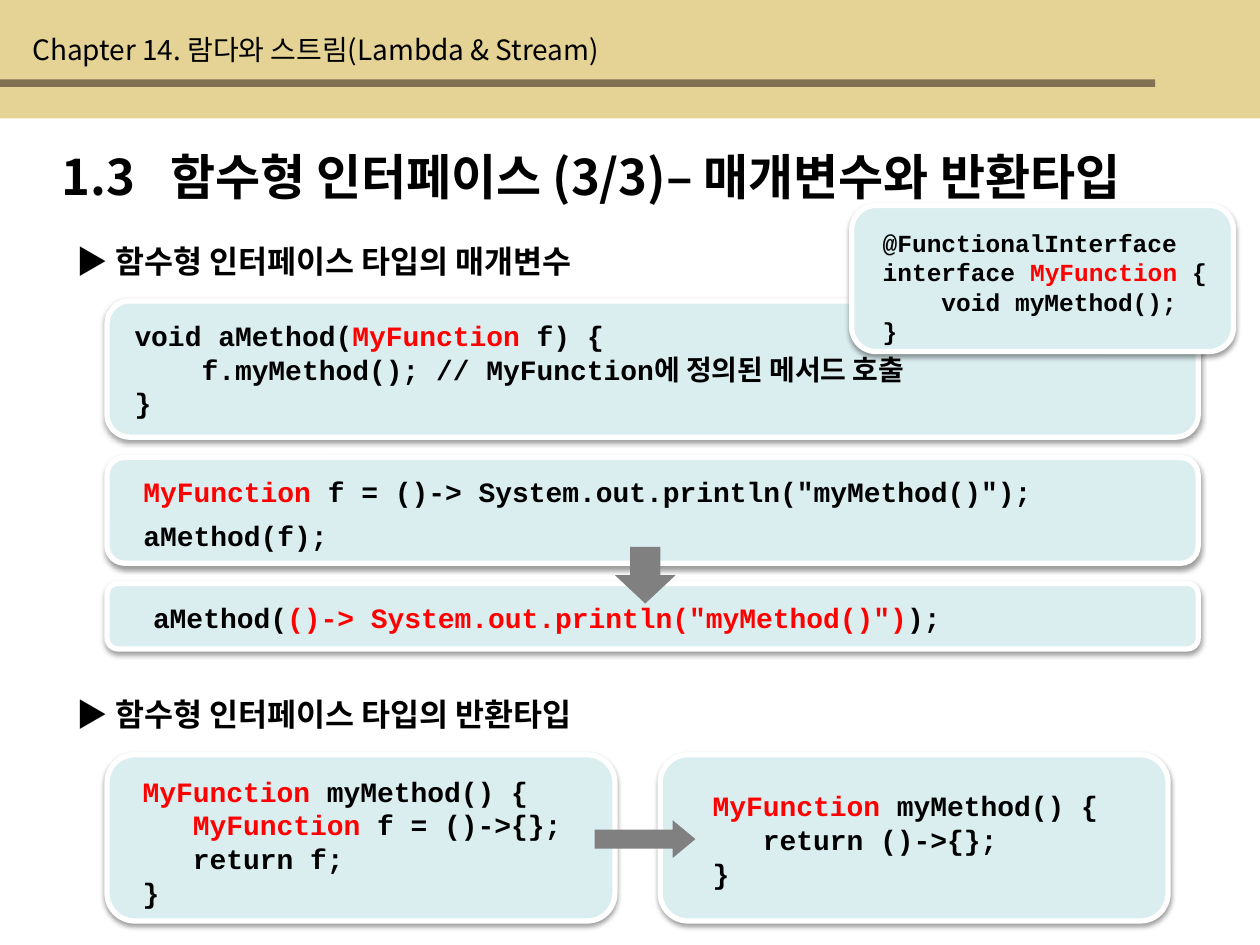
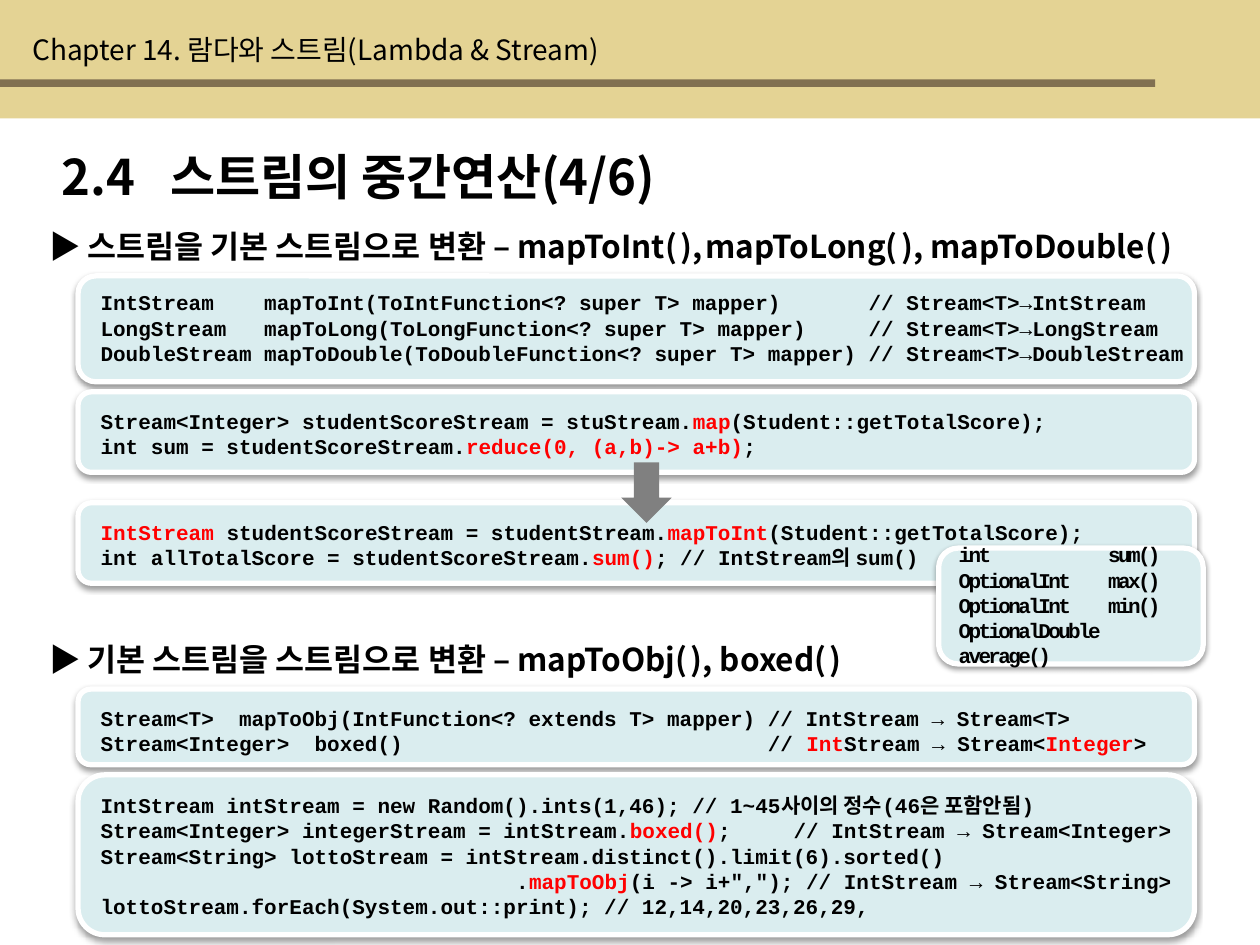
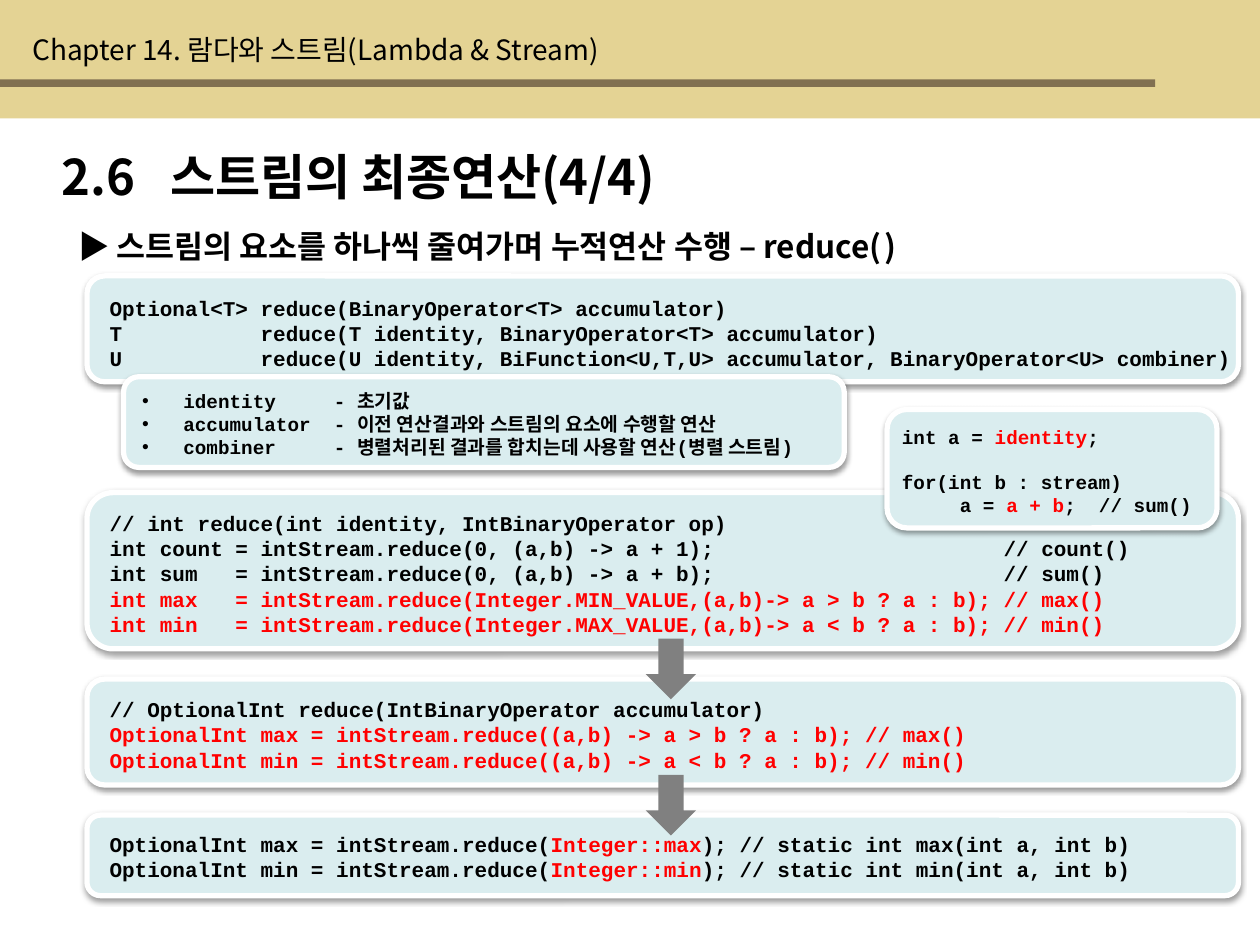
from lxml.etree import SubElement
from pptx import Presentation
from pptx.dml.color import RGBColor
from pptx.enum.shapes import MSO_SHAPE
from pptx.enum.text import MSO_ANCHOR, MSO_AUTO_SIZE, PP_ALIGN
from pptx.oxml.ns import qn
from pptx.util import Pt

SAND = RGBColor(0xE4, 0xD3, 0x94)
BROWN = RGBColor(0x81, 0x70, 0x51)
AQUA = RGBColor(0xDA, 0xED, 0xEF)
WHITE = RGBColor(0xFF, 0xFF, 0xFF)
BLACK = RGBColor(0, 0, 0)
RED = RGBColor(0xFF, 0, 0)
GRAY = RGBColor(0x80, 0x80, 0x80)
SANS = "Noto Sans CJK KR"
MONO = "Courier New"
CHAPTER = "Chapter 14. 람다와 스트림(Lambda & Stream)"
TOP, MIDDLE, BOTTOM = MSO_ANCHOR.TOP, MSO_ANCHOR.MIDDLE, MSO_ANCHOR.BOTTOM


def place(shape, box):
    shape.left, shape.top, shape.width, shape.height = map(Pt, box)


def indent(para, hang, mark=None, tab=None):
    """Set a hanging indent, a bullet (or none) and one tab stop."""
    props = para._p.get_or_add_pPr()
    props.set("marL", str(Pt(hang)))
    props.set("indent", str(-Pt(hang)))
    if mark:
        SubElement(props, qn("a:buFont"), typeface="Arial")
        SubElement(props, qn("a:buChar"), char=mark)
    else:
        SubElement(props, qn("a:buNone"))
    if tab:
        stops = SubElement(props, qn("a:tabLst"))
        SubElement(stops, qn("a:tab"), pos=str(Pt(tab)), algn="l")


def write(shape, lines, size, face=SANS, bold=True, anchor=TOP, hang=None,
          mark=None, tab=None, gaps=None, hue=BLACK, small=None, track=0):
    """Fill a shape with lines; text between bars is red, or small if asked."""
    frame = shape.text_frame
    frame.word_wrap = True
    frame.auto_size = MSO_AUTO_SIZE.SHAPE_TO_FIT_TEXT
    frame.vertical_anchor = anchor
    for row, line in enumerate(lines):
        para = frame.add_paragraph() if row else frame.paragraphs[0]
        if hang:
            indent(para, hang, mark, tab)
        para.alignment = PP_ALIGN.LEFT
        para.space_before = Pt((gaps or {}).get(row, 0))
        for turn, part in enumerate(line.split("|")):
            if not part:
                continue
            run = para.add_run()
            run.text = part
            font = run.font
            marked = turn % 2 == 1
            font.size = Pt(small if marked and small else size)
            font.color.rgb = RED if marked and not small else hue
            font.bold = bold
            font.name = face
            props = run._r.get_or_add_rPr()
            SubElement(props, qn("a:ea"), typeface=SANS)
            if track:
                props.set("spc", str(int(track * 100)))


def label(slide, box, lines, size, **style):
    write(slide.shapes.add_textbox(*map(Pt, box)), lines, size, **style)


def block(slide, kind, box, fill):
    shape = slide.shapes.add_shape(kind, *map(Pt, box))
    shape.shadow.inherit = False
    shape.fill.solid()
    shape.fill.fore_color.rgb = fill
    shape.line.fill.background()
    return shape


def panel(slide, box, inner, lines, size, anchor=BOTTOM, face=MONO, **style):
    """Draw a card and its text, with inner measured from the card's corner."""
    card = block(slide, MSO_SHAPE.ROUNDED_RECTANGLE, box, AQUA)
    card.line.color.rgb = WHITE
    card.line.width = Pt(3)
    effects = card.element.spPr.find(qn("a:effectLst"))
    shade = SubElement(effects, qn("a:outerShdw"), blurRad=str(Pt(3.1)),
                       dist=str(Pt(1.6)), dir="5400000", rotWithShape="0")
    color = SubElement(shade, qn("a:srgbClr"), val="000000")
    SubElement(color, qn("a:alpha"), val="38000")
    left, top, wide, high = inner
    label(slide, (box[0] + left, box[1] + top, wide, high), lines, size,
          anchor=anchor, face=face, **style)


def stack(slide, left, wide, rows):
    """Draw full-width code cards from (top, height, inset, text height, lines)."""
    for top, high, inset, depth, lines in rows:
        panel(slide, (left, top, wide, high), (5.8, inset, wide + 5.8, depth),
              lines, 12)


def arrow(slide, box, kind=MSO_SHAPE.DOWN_ARROW):
    return block(slide, kind, box, GRAY)


def start(deck, title, heads):
    """Add a slide with its band, chapter line, title and section heads."""
    slide = deck.slides.add_slide(deck.slide_layouts[{1: 1, 2: 3}[len(heads)]])
    block(slide, MSO_SHAPE.RECTANGLE, (0, 0, 720, 67.7), SAND)
    block(slide, MSO_SHAPE.RECTANGLE, (0, 45.4, 660.2, 4.3), BROWN)
    label(slide, (11.5, 15.1, 447.8, 26.6), [CHAPTER], 16, bold=False)
    place(slide.shapes.title, (28.1, 79.9, 674.6, 41))
    write(slide.shapes.title, [title], 28, hang=62)
    for spot, (left, top, text) in enumerate(heads, 1):
        body = slide.placeholders[spot]
        place(body, (left, top, 700, 28.8))
        write(body, [text], 18, hang=21, small=8)
    return slide


def types(deck):
    """Functional interfaces as parameter and return types."""
    slide = start(deck, "1.3\t함수형 인터페이스 (3/3)– 매개변수와 반환타입", [
        (36.7, 134.6, "▶ 함수형 인터페이스 타입의 매개변수"),
        (36.7, 393.8, "▶ 함수형 인터페이스 타입의 반환타입")])
    left, wide = 61.2, 623.5
    panel(slide, (left, 172, wide, 77.8), (8.6, 5.8, 610, 65.5), [
        "void aMethod(|MyFunction| f) {",
        "    f.myMethod(); // MyFunction에 정의된 메서드 호출",
        "}"], 16)
    panel(slide, (486.7, 117.4, 218.2, 83.5), (10.6, 9.4, 205, 60.5), [
        "@FunctionalInterface",
        "interface |MyFunction| {",
        "    void myMethod();",
        "}"], 14, anchor=TOP)
    panel(slide, (left, 261.4, wide, 60.5), (13.7, 5.8, 610, 51.8), [
        '|MyFunction| f = ()-> System.out.println("myMethod()");',
        "aMethod(f);"], 16, anchor=MIDDLE, gaps={1: 6})
    panel(slide, (left, 333.4, wide, 37.4), (19.2, 5.8, 593, 26.6), [
        'aMethod(|()-> System.out.println("myMethod()")|);'], 16)
    arrow(slide, (351.4, 312.5, 34.6, 32.4))
    panel(slide, (left, 431.3, 290.2, 95), (13.2, 6.5, 274, 85), [
        "|MyFunction| myMethod() {",
        "   |MyFunction| f = ()->{};",
        "   return f;",
        "}"], 16)
    panel(slide, (377.3, 431.3, 290.2, 95), (22.8, 15.1, 265, 65.5), [
        "|MyFunction| myMethod() {",
        "   return ()->{};",
        "}"], 16)
    point = arrow(slide, (339.8, 468.7, 57.6, 21.6), MSO_SHAPE.RIGHT_ARROW)
    point.adjustments[1] = 0.6


def middle(deck):
    """Conversions between object streams and primitive streams."""
    slide = start(deck, "2.4\t스트림의 중간연산(4/6)", [
        (20.9, 126, "▶ 스트림을 기본 스트림으로 변환 – mapToInt(| |),| |"
                    "mapToLong(| |), mapToDouble(| |)"),
        (20.9, 362.2, "▶ 기본 스트림을 스트림으로 변환 – mapToObj(| |), boxed(| |)")])
    stack(slide, 44.6, 638, [
        (157.7, 60.5, 12.2, 42.5, [
            "IntStream    mapToInt(ToIntFunction<? super T> mapper)       // Stream<T>→IntStream",
            "LongStream   mapToLong(ToLongFunction<? super T> mapper)     // Stream<T>→LongStream",
            "DoubleStream mapToDouble(ToDoubleFunction<? super T> mapper) // Stream<T>→DoubleStream"]),
        (223.9, 46, 5.8, 36, [
            "Stream<Integer> studentScoreStream = stuStream.|map|(Student::getTotalScore);",
            "int sum = studentScoreStream.|reduce(0, (a,b)-> a+b)|;"]),
        (287.3, 46, 5.8, 36, [
            "|IntStream| studentScoreStream = studentStream.|mapToInt|(Student::getTotalScore);",
            "int allTotalScore = studentScoreStream.|sum()|; // IntStream의 sum()"]),
        (393.8, 43.2, 5.8, 36, [
            "Stream<T>  mapToObj(IntFunction<? extends T> mapper) // IntStream → Stream<T>",
            "Stream<Integer>  boxed()                             // |Int|Stream → Stream<|Integer|>"]),
        (442.8, 91.4, -8.6, 94.3, [
            "IntStream intStream = new Random().ints(1,46); // 1~45사이의 정수(46은 포함안됨)",
            "Stream<Integer> integerStream = intStream.|boxed()|;     // IntStream → Stream<Integer>",
            "Stream<String> lottoStream = intStream.distinct().limit(6).sorted()",
            '                                 .|mapToObj|(i -> i+","); // IntStream → Stream<String>',
            "lottoStream.forEach(System.out::print); // 12,14,20,23,26,29,"])])
    arrow(slide, (355, 264.2, 28.8, 34.6))
    panel(slide, (536.4, 313.2, 151.2, 66.2), (4.3, 5.8, 148.3, 53.3), [
        "int            sum()",
        "OptionalInt    max()",
        "OptionalInt    min()",
        "OptionalDouble average()"], 12, anchor=MIDDLE, track=-1.5)


def final(deck):
    """The reduce() terminal operation."""
    slide = start(deck, "2.6\t스트림의 최종연산(4/4)", [
        (37.4, 126, "▶ 스트림의 요소를 하나씩 줄여가며 누적연산 수행 – reduce(| |)")])
    stack(slide, 49.7, 658, [
        (157.7, 60.5, 5.8, 52, [
            "Optional<T> reduce(BinaryOperator<T> accumulator)",
            "T           reduce(T identity, BinaryOperator<T> accumulator)",
            "U           reduce(U identity, BiFunction<U,T,U> accumulator, BinaryOperator<U> combiner)"]),
        (281.5, 89.3, 5.8, 80, [
            "// int reduce(int identity, IntBinaryOperator op)",
            "int count = intStream.reduce(0, (a,b) -> a + 1);                       // count()",
            "int sum   = intStream.reduce(0, (a,b) -> a + b);                       // sum()",
            "|int max   = intStream.reduce(Integer.MIN_VALUE,(a,b)-> a > b ? a : b); // max()|",
            "|int min   = intStream.reduce(Integer.MAX_VALUE,(a,b)-> a < b ? a : b); // min()|"]),
        (388.1, 60.5, 5.8, 51, [
            "// OptionalInt reduce(IntBinaryOperator accumulator)",
            "|OptionalInt max = intStream.reduce((a,b) -> a > b ? a : b); // max()|",
            "|OptionalInt min = intStream.reduce((a,b) -> a < b ? a : b); // min()|"]),
        (465.8, 46, 5.8, 36, [
            "OptionalInt max = intStream.reduce(|Integer::max|); // static int max(int a, int b)",
            "OptionalInt min = intStream.reduce(|Integer::min|); // static int min(int a, int b)"])])
    for top in (365, 442.8):
        arrow(slide, (369, top, 28.8, 34.6))
    panel(slide, (70.6, 215.3, 411.8, 51.8), (3.6, 2.9, 415.4, 47.5), [
        "identity\t- 초기값",
        "accumulator\t- 이전 연산결과와 스트림의 요소에 수행할 연산",
        "combiner\t- 병렬처리된 결과를 합치는데 사용할 연산(병렬 스트림)"],
        11, hang=23.5, mark="•", tab=109.5)
    panel(slide, (506.9, 234, 188.6, 67.7), (1.4, 4.3, 190.8, 60.5), [
        "int a = |identity|;",
        "for(int b : stream)",
        "     a = |a + b|;  // sum()"], 11, gaps={1: 12.5})


def main():
    deck = Presentation()
    deck.slide_width, deck.slide_height = Pt(720), Pt(540)
    for build in (types, middle, final):
        build(deck)
    deck.save("out.pptx")


if __name__ == "__main__":
    main()
